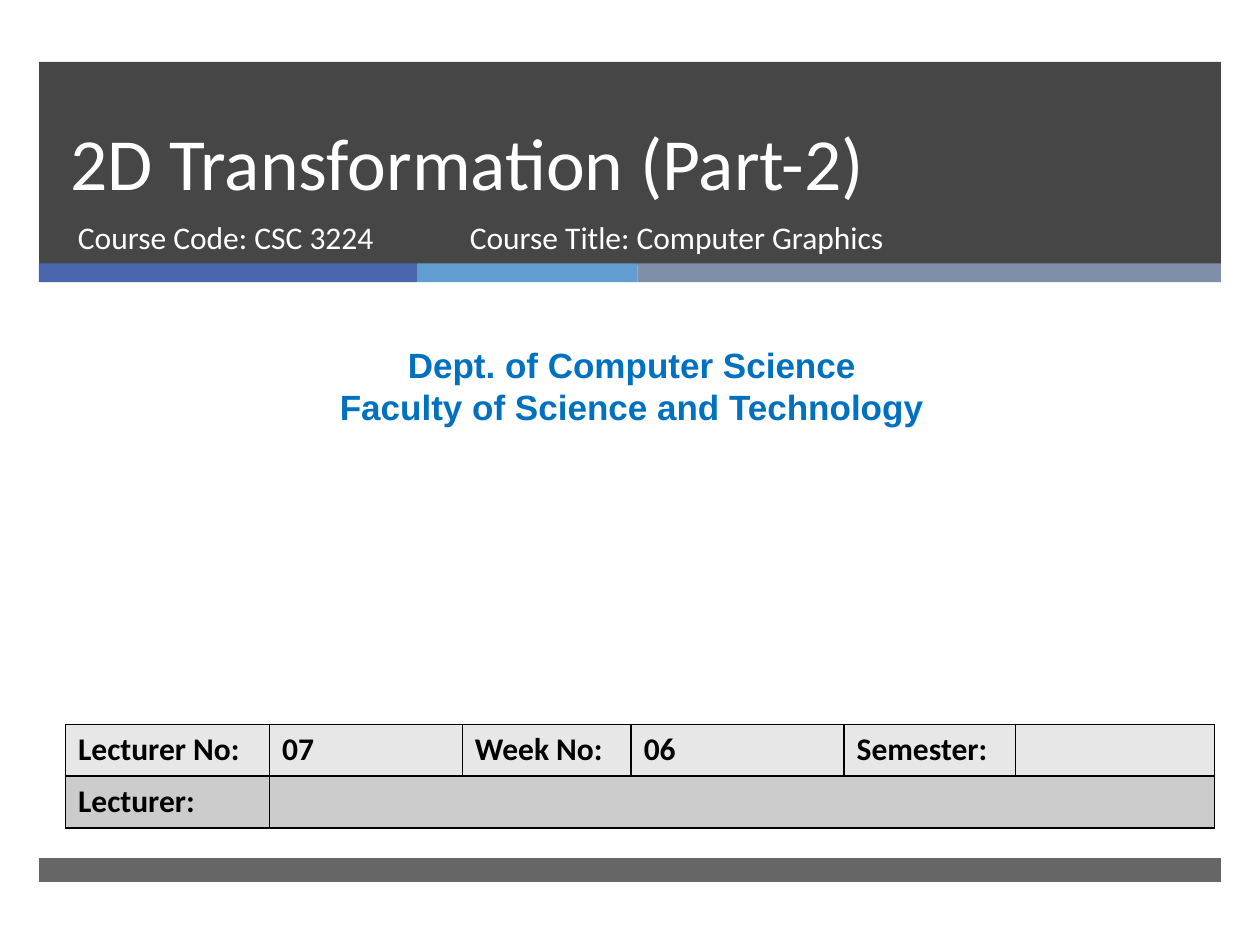
import pptx
import pptx.util
import pptx.dml.color
import pptx.enum.shapes
import pptx.enum.text
import pptx.oxml
import pptx.oxml.ns
import lxml.etree

Inches = pptx.util.Inches
Pt = pptx.util.Pt
qn = pptx.oxml.ns.qn
PP = pptx.enum.text.PP_ALIGN
ANCHOR = pptx.enum.text.MSO_ANCHOR


def color(code):
    return pptx.dml.color.RGBColor.from_string(code)


def write(frame, text, size, name, code, bold=False, align=PP.LEFT):
    frame.word_wrap = True
    frame.text = text
    for para in frame.paragraphs:
        para.alignment = align
        for run in para.runs:
            run.font.size = Pt(size)
            run.font.name = name
            run.font.bold = bold
            run.font.color.rgb = color(code)


deck = pptx.Presentation()
deck.slide_width = Inches(10)
deck.slide_height = Inches(7.5)
slide = deck.slides.add_slide(deck.slide_layouts[5])
shapes = slide.shapes

bars = [
    (0.31, 0.49, 9.38, 1.61, "262626", 85),
    (0.31, 2.09, 3, 0.15, "4A66AC", 100),
    (3.31, 2.09, 1.75, 0.15, "629DD1", 100),
    (5.06, 2.09, 4.63, 0.15, "7F8FA9", 100),
    (0.31, 6.81, 9.38, 0.19, "262626", 70),
]
for left, top, width, height, code, alpha in bars:
    bar = shapes.add_shape(pptx.enum.shapes.MSO_SHAPE.RECTANGLE,
                           Inches(left), Inches(top), Inches(width), Inches(height))
    bar.shadow.inherit = False
    bar.line.fill.background()
    bar.fill.solid()
    bar.fill.fore_color.rgb = color(code)
    if alpha < 100:
        tint = bar._element.spPr.find(".//" + qn("a:srgbClr"))
        lxml.etree.SubElement(tint, qn("a:alpha"), val=str(alpha * 1000))

title = shapes.title
title.left, title.top = Inches(0.46), Inches(0.49)
title.width, title.height = Inches(8.54), Inches(1.19)
write(title.text_frame, "2D Transformation (Part-2)", 42, "Calibri", "FFFFFF")
title.text_frame.auto_size = pptx.enum.text.MSO_AUTO_SIZE.NONE
title.text_frame.vertical_anchor = ANCHOR.BOTTOM
title.text_frame.paragraphs[0].line_spacing = Pt(46)
shapes._spTree.append(title._element)

dept = "Dept. of Computer Science\nFaculty of Science and Technology"
notes = [
    (0.52, 1.68, 3.05, 0.53, "Course Code: CSC 3224", 18, "Calibri", "FFFFFF", False, PP.LEFT),
    (3.63, 1.68, 4.55, 0.53, "Course Title: Computer Graphics", 18, "Calibri", "FFFFFF", False, PP.LEFT),
    (0.08, 2.68, 9.87, 0.77, dept, 20, "Arial", "0070C0", True, PP.CENTER),
]
for left, top, width, height, *style in notes:
    box = shapes.add_textbox(Inches(left), Inches(top), Inches(width), Inches(height))
    write(box.text_frame, *style)

rows = [
    ("E7E7E7", ["Lecturer No:", "07", "Week No:", "06", "Semester:", ""]),
    ("CCCCCC", ["Lecturer:", "", "", "", "", ""]),
]
widths = [1.62, 1.53, 1.34, 1.69, 1.36, 1.58]
table = shapes.add_table(2, 6, Inches(0.52), Inches(5.75), Inches(9.12), Inches(0.82)).table
for col, width in zip(table.columns, widths):
    col.width = Inches(width)
for r, (shade, words) in enumerate(rows):
    table.rows[r].height = Inches(0.41)
    for c, word in enumerate(words):
        cell = table.cell(r, c)
        write(cell.text_frame, word, 18, "Calibri", "000000", True)
        props = cell._tc.get_or_add_tcPr()
        for side in ("a:lnL", "a:lnR", "a:lnT", "a:lnB"):
            edge = lxml.etree.SubElement(props, qn(side), w=str(Pt(1)))
            ink = lxml.etree.SubElement(edge, qn("a:solidFill"))
            lxml.etree.SubElement(ink, qn("a:srgbClr"), val="000000")
        cell.fill.solid()
        cell.fill.fore_color.rgb = color(shade)
table.cell(1, 1).merge(table.cell(1, 5))

deck.save("out.pptx")
